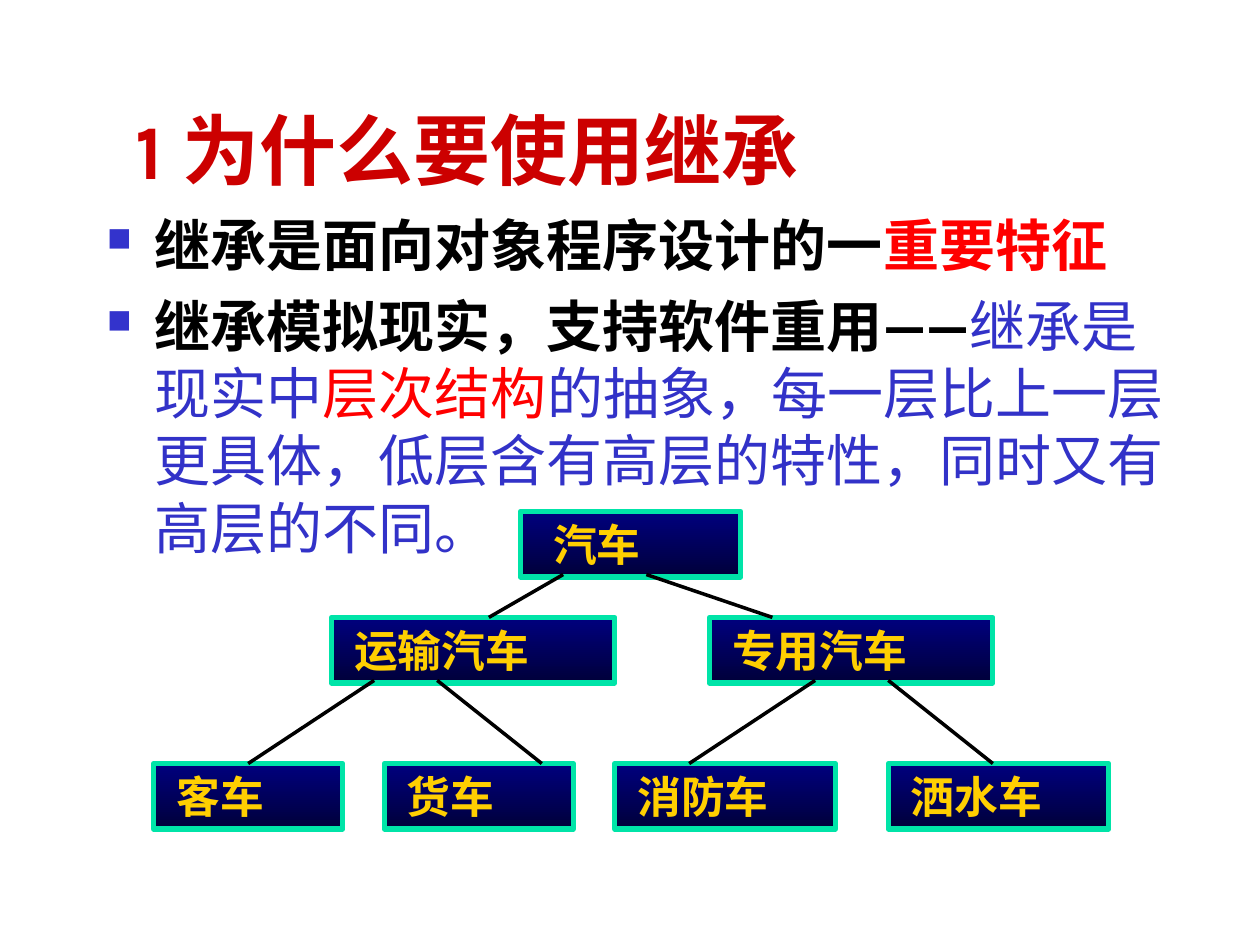
from dataclasses import dataclass

from lxml.etree import SubElement
from pptx import Presentation
from pptx.dml.color import RGBColor
from pptx.enum.shapes import MSO_CONNECTOR, MSO_SHAPE
from pptx.enum.text import MSO_ANCHOR, PP_ALIGN
from pptx.oxml.ns import qn
from pptx.util import Inches, Pt


@dataclass(frozen=True)
class Theme:
    text_font: str = "Karla"
    box_font: str = "Noto Sans CJK SC"
    title: str = "CC0000"
    black: str = "000000"
    red: str = "FF0000"
    blue: str = "3232C8"
    bullet: str = "3333CC"
    box_top: str = "00007E"
    box_bottom: str = "00003A"
    box_line: str = "00E4A8"
    box_text: str = "FFCF01"
    title_size: int = 44
    body_size: int = 32
    box_size: int = 25


@dataclass(frozen=True)
class Node:
    label: str
    left: float
    top: float
    width: float
    indent: float = 0.18


@dataclass(frozen=True)
class Link:
    x1: float
    y1: float
    x2: float
    y2: float


T = Theme()
BOX_HEIGHT = 0.52
ROOT, MIDDLE, LEAF = 4.06, 4.9, 6.06  # tops of the three levels
ROOT_EXIT, MIDDLE_EXIT = 4.56, 5.4  # where the links leave a level

NODES = [
    Node("汽车", 4.13, ROOT, 1.75, 0.26),
    Node("专用汽车", 5.63, MIDDLE, 2.25),
    Node("运输汽车", 2.63, MIDDLE, 2.25),
    Node("客车", 1.22, LEAF, 1.5),
    Node("货车", 3.05, LEAF, 1.5),
    Node("消防车", 4.88, LEAF, 1.75),
    Node("洒水车", 7.05, LEAF, 1.75),
]
LINKS = [
    Link(4.47, ROOT_EXIT, 3.88, MIDDLE),
    Link(5.13, ROOT_EXIT, 6.13, MIDDLE),
    Link(2.97, MIDDLE_EXIT, 1.97, LEAF),
    Link(3.47, MIDDLE_EXIT, 4.3, LEAF),
    Link(6.47, MIDDLE_EXIT, 5.47, LEAF),
    Link(7.05, MIDDLE_EXIT, 7.88, LEAF),
]
# Each bullet is a list of (text, colour, bold)
BULLETS = [
    [("继承是面向对象程序设计的一", T.black, True), ("重要特征", T.red, True)],
    [
        ("继承模拟现实，支持软件重用——", T.black, True),
        ("继承是现实中", T.blue, False),
        ("层次结构", T.red, False),
        ("的抽象，每一层比上一层更具体，低层含有高层的特性，同时又有高层的不同。", T.blue, False),
    ],
]


def set_all(obj, values: dict) -> None:
    for name, value in values.items():
        setattr(obj, name, value)


def add_run(p, text: str, font: str, size: int, color: str, bold: bool) -> None:
    r = p.add_run()
    r.text = text
    set_all(r.font, {"name": font, "size": Pt(size), "bold": bold})
    r.font.color.rgb = RGBColor.from_string(color)
    SubElement(r.font._element, qn("a:ea"), typeface=font)


def add_text_box(s, left: float, top: float, width: float, height: float, anchor):
    tf = s.shapes.add_textbox(Inches(left), Inches(top), Inches(width), Inches(height)).text_frame
    set_all(tf, {"word_wrap": True, "vertical_anchor": anchor})
    return tf


def add_bullet(p) -> None:
    pPr = p._p.get_or_add_pPr()
    pPr.set("marL", str(Inches(0.38)))
    pPr.set("indent", str(-Inches(0.38)))
    color = SubElement(pPr, qn("a:buClr"))
    SubElement(color, qn("a:srgbClr"), val=T.bullet)
    SubElement(pPr, qn("a:buSzPct"), val="60000")
    SubElement(pPr, qn("a:buChar"), char="■")


def add_node(s, node: Node) -> None:
    sp = s.shapes.add_shape(MSO_SHAPE.RECTANGLE, Inches(node.left), Inches(node.top),
                            Inches(node.width), Inches(BOX_HEIGHT))
    sp.shadow.inherit = False
    sp.fill.gradient()
    sp.fill.gradient_angle = 270
    for stop, color, position in zip(sp.fill.gradient_stops, (T.box_top, T.box_bottom), (0, 1)):
        stop.color.rgb = RGBColor.from_string(color)
        stop.position = position
    sp.line.color.rgb = RGBColor.from_string(T.box_line)
    sp.line.width = Pt(3)
    tf = sp.text_frame
    set_all(tf, {"margin_left": Inches(node.indent), "margin_right": Inches(0.1),
                 "margin_top": 0, "margin_bottom": 0,
                 "word_wrap": True, "vertical_anchor": MSO_ANCHOR.MIDDLE})
    p = tf.paragraphs[0]
    p.alignment = PP_ALIGN.JUSTIFY
    add_run(p, node.label, T.box_font, T.box_size, T.box_text, True)


def add_link(s, link: Link) -> None:
    line = s.shapes.add_connector(MSO_CONNECTOR.STRAIGHT, Inches(link.x1), Inches(link.y1),
                                  Inches(link.x2), Inches(link.y2))
    line.line.color.rgb = RGBColor.from_string(T.black)
    line.line.width = Pt(2)
    SubElement(line._element.spPr, qn("a:effectLst"))


def main() -> None:
    prs = Presentation()
    set_all(prs, {"slide_width": Inches(10), "slide_height": Inches(7.5)})
    s = prs.slides.add_slide(prs.slide_layouts[6])

    # Title
    tf = add_text_box(s, 0.98, 0.6, 8.52, 1, MSO_ANCHOR.BOTTOM)
    add_run(tf.paragraphs[0], "1 为什么要使用继承", T.text_font, T.title_size, T.title, True)

    # Bullets
    tf = add_text_box(s, 0.75, 1.62, 8.74, 3.07, MSO_ANCHOR.TOP)
    for i, runs in enumerate(BULLETS):
        p = tf.add_paragraph() if i else tf.paragraphs[0]
        add_bullet(p)
        if i:
            p.space_before = Pt(8)
        for text, color, bold in runs:
            add_run(p, text, T.text_font, T.body_size, color, bold)

    # Class hierarchy
    for node in NODES:
        add_node(s, node)
    for link in LINKS:
        add_link(s, link)

    prs.save("out.pptx")


if __name__ == "__main__":
    main()
